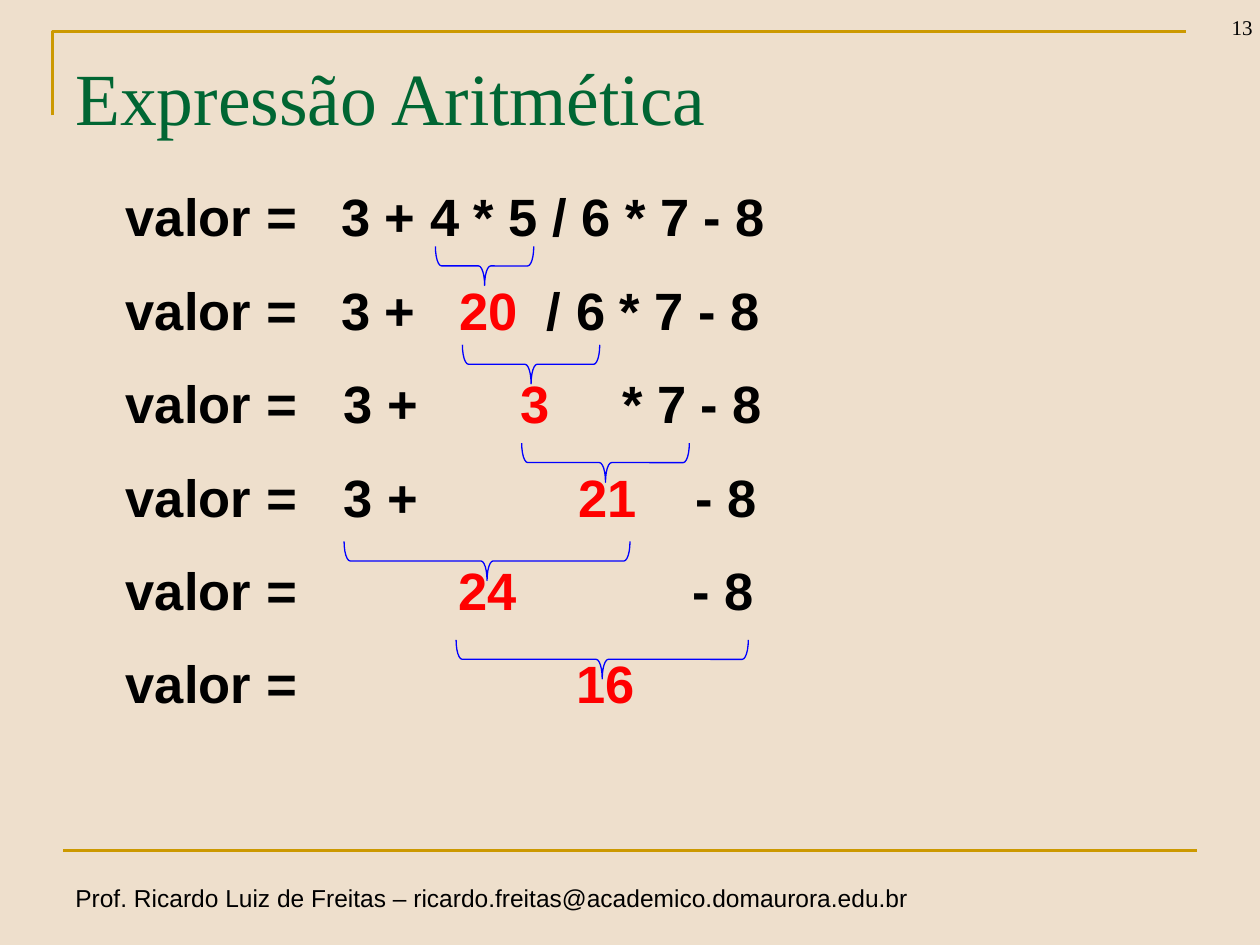
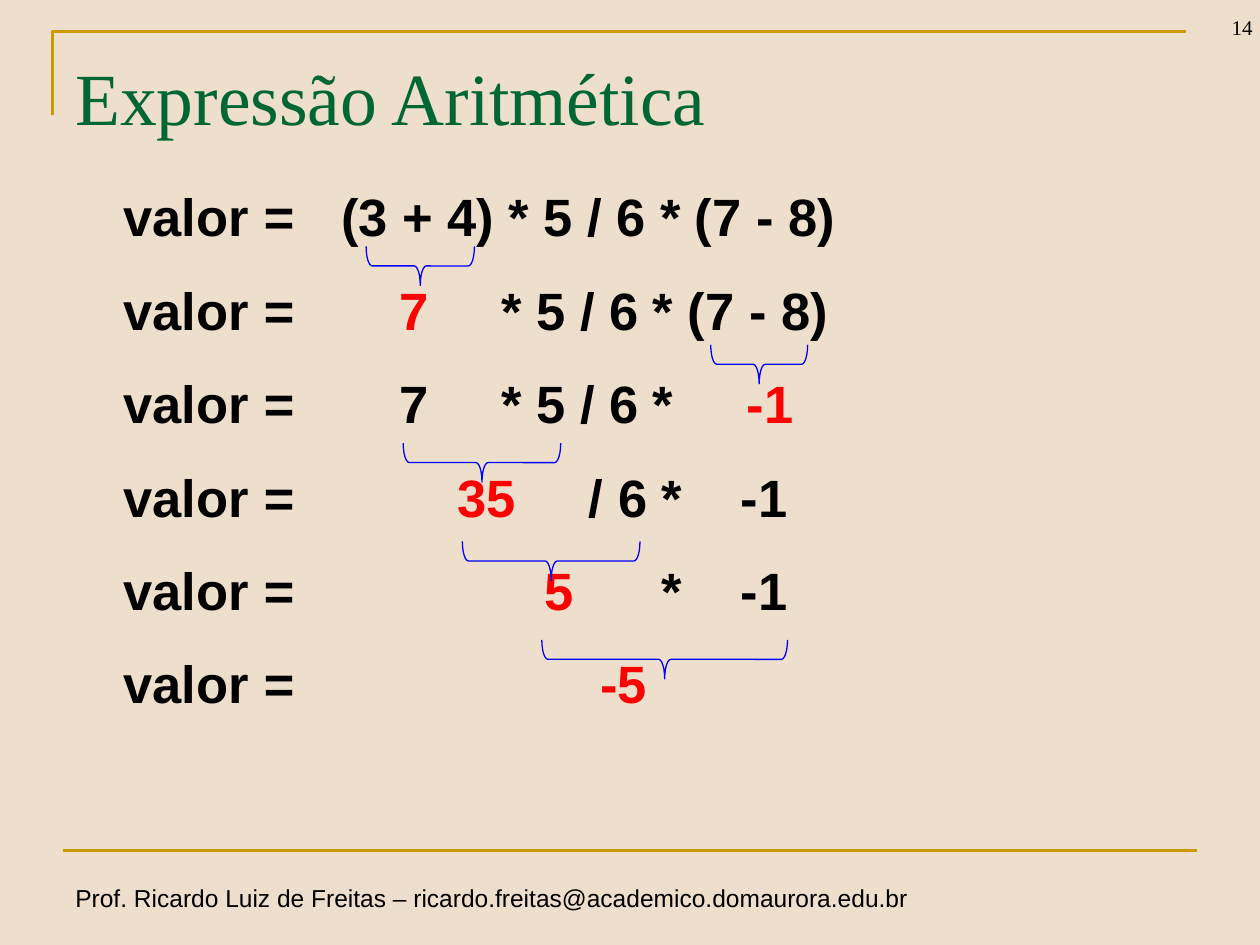
from lxml.etree import SubElement
from pptx import Presentation
from pptx.dml.color import RGBColor as RGB
from pptx.enum.shapes import MSO_CONNECTOR as Link, MSO_SHAPE as Shape
from pptx.enum.text import MSO_ANCHOR as Anchor, PP_ALIGN as Align
from pptx.oxml.ns import qn
from pptx.util import Pt

SAND = RGB(0xEE, 0xDF, 0xCC)
GOLD = RGB(0xCC, 0x99, 0x00)
GREEN = RGB(0x00, 0x66, 0x33)
BLACK = RGB(0x00, 0x00, 0x00)
RED = RGB(0xFF, 0x00, 0x00)
BLUE = RGB(0x00, 0x00, 0xFF)
SANS, SERIF, MONO = "Arial", "Times New Roman", "Courier New"

TITLE = "Expressão Aritmética"
FOOTER = "Prof. Ricardo Luiz de Freitas – ricardo.freitas@academico.domaurora.edu.br"
BRACE_TOP, BRACE_GAP, BRACE_HIGH = 35, 56.2, 22.3

# Each step lists (tab stop, term, colour); each brace is (left, width).
PLAIN = {
    "box": (64.8, 105.8, 561.6, 361.4),
    "steps": [
        [(123.1, "3 + 4 * 5 / 6 * 7 - 8", BLACK)],
        [(123.1, "3 +", BLACK), (190.6, "20", RED), (240.7, "/ 6 * 7 - 8", BLACK)],
        [(124.4, "3 +", BLACK), (225.3, "3", RED), (283.7, "* 7 - 8", BLACK)],
        [(124.4, "3 +", BLACK), (258.7, "21", RED), (325.4, "- 8", BLACK)],
        [(190.3, "24", RED), (324, "- 8", BLACK)],
        [(257.7, "16", RED)],
    ],
    "braces": [(184, 56.2), (199.4, 78.5), (233.3, 95.8), (131.8, 163.4), (195.8, 167)],
}
GROUPED = {
    "box": (63.4, 105.8, 499, 361.4),
    "steps": [
        [(124.4, "(3 + 4) * 5 / 6 * (7 - 8)", BLACK)],
        [(157.7, "7", RED), (216.1, "* 5 / 6 * (7 - 8)", BLACK)],
        [(157.7, "7", BLACK), (216.1, "* 5 / 6 *", BLACK), (356.2, "-1", RED)],
        [(191, "35", RED), (266.1, "/ 6 *", BLACK), (352.8, "-1", BLACK)],
        [(240.6, "5", RED), (307.5, "*", BLACK), (352.8, "-1", BLACK)],
        [(272.5, "-5", RED)],
    ],
    "braces": [(145.8, 61.9), (342.7, 55.4), (167, 90), (200.8, 101.5), (246.2, 140.4)],
}


def style(font, name, size, color, bold=False):
    font.name, font.size, font.bold = name, Pt(size), bold
    font.color.rgb = color


def add_text(slide, box, text, name, size, color):
    """Add a one-line text box and return its frame."""
    frame = slide.shapes.add_textbox(*map(Pt, box)).text_frame
    frame.word_wrap = True
    frame.text = text
    style(frame.paragraphs[0].font, name, size, color)
    return frame


def add_frame(slide, number):
    """Draw what all slides share: background, rules, title and footer."""
    fill = slide.background.fill
    fill.solid()
    fill.fore_color.rgb = SAND

    pen = slide.shapes.build_freeform(Pt(30), Pt(66))
    pen.add_line_segments([(Pt(30), Pt(18)), (Pt(678), Pt(18))], close=False)
    corner = pen.convert_to_shape()
    corner.shadow.inherit = False
    corner.fill.background()
    rule = slide.shapes.add_connector(Link.STRAIGHT, Pt(36), Pt(486), Pt(684), Pt(486))
    SubElement(rule._element.spPr, qn("a:effectLst"))
    for item in (corner, rule):
        item.line.color.rgb = GOLD
        item.line.width = Pt(1.5)

    foot = add_text(slide, (36, 501.1, 493.9, 24.5), FOOTER, SANS, 14, BLACK)
    foot.word_wrap = False
    page = add_text(slide, (668.9, -10, 54, 36), str(number), SERIF, 12, BLACK)
    page.vertical_anchor = Anchor.BOTTOM
    page.paragraphs[0].alignment = Align.RIGHT
    head = add_text(slide, (36, 21.6, 648, 90), TITLE, SERIF, 42, GREEN)
    head.margin_top = Pt(8)


def add_step(para, terms):
    """Write one line of the sum, with a tab stop for each term."""
    para.line_spacing = 0.9
    para.space_before, para.space_after = Pt(6), Pt(15)
    style(para.font, SANS, 30, BLACK, bold=True)
    tabs = SubElement(para._p.get_or_add_pPr(), qn("a:tabLst"))
    # Tab stops come before the default run style in the schema.
    tabs.getparent().find(qn("a:defRPr")).addprevious(tabs)
    para.add_run().text = "valor "
    equal = para.add_run()
    equal.text = "="
    equal.font.name = MONO
    for stop, term, color in terms:
        SubElement(tabs, qn("a:tab"), pos=str(Pt(stop)), algn="l")
        run = para.add_run()
        run.text = "\t" + term
        run.font.color.rgb = color


def add_brace(slide, left, top, width):
    """Add a brace that points down, as a right brace turned by 90 degrees."""
    shift = (width - BRACE_HIGH) / 2
    brace = slide.shapes.add_shape(
        Shape.RIGHT_BRACE, Pt(left + shift), Pt(top - shift), Pt(BRACE_HIGH), Pt(width))
    brace.rotation = 90
    brace.adjustments[0] = 0.155
    brace.shadow.inherit = False
    brace.fill.background()
    brace.line.color.rgb = BLUE
    brace.line.width = Pt(0.75)


def add_sum(slide, box, steps, braces):
    left, top = box[:2]
    frame = slide.shapes.add_textbox(*map(Pt, box)).text_frame
    frame.word_wrap = True
    for row, terms in enumerate(steps):
        add_step(frame.add_paragraph() if row else frame.paragraphs[0], terms)
    for row, (start, width) in enumerate(braces):
        add_brace(slide, left + start, top + BRACE_TOP + row * BRACE_GAP, width)


def main():
    deck = Presentation()
    deck.slide_width, deck.slide_height = Pt(720), Pt(540)
    for number, part in enumerate((PLAIN, GROUPED), 13):
        slide = deck.slides.add_slide(deck.slide_layouts[6])
        add_frame(slide, number)
        add_sum(slide, **part)
    deck.save("out.pptx")


if __name__ == "__main__":
    main()
